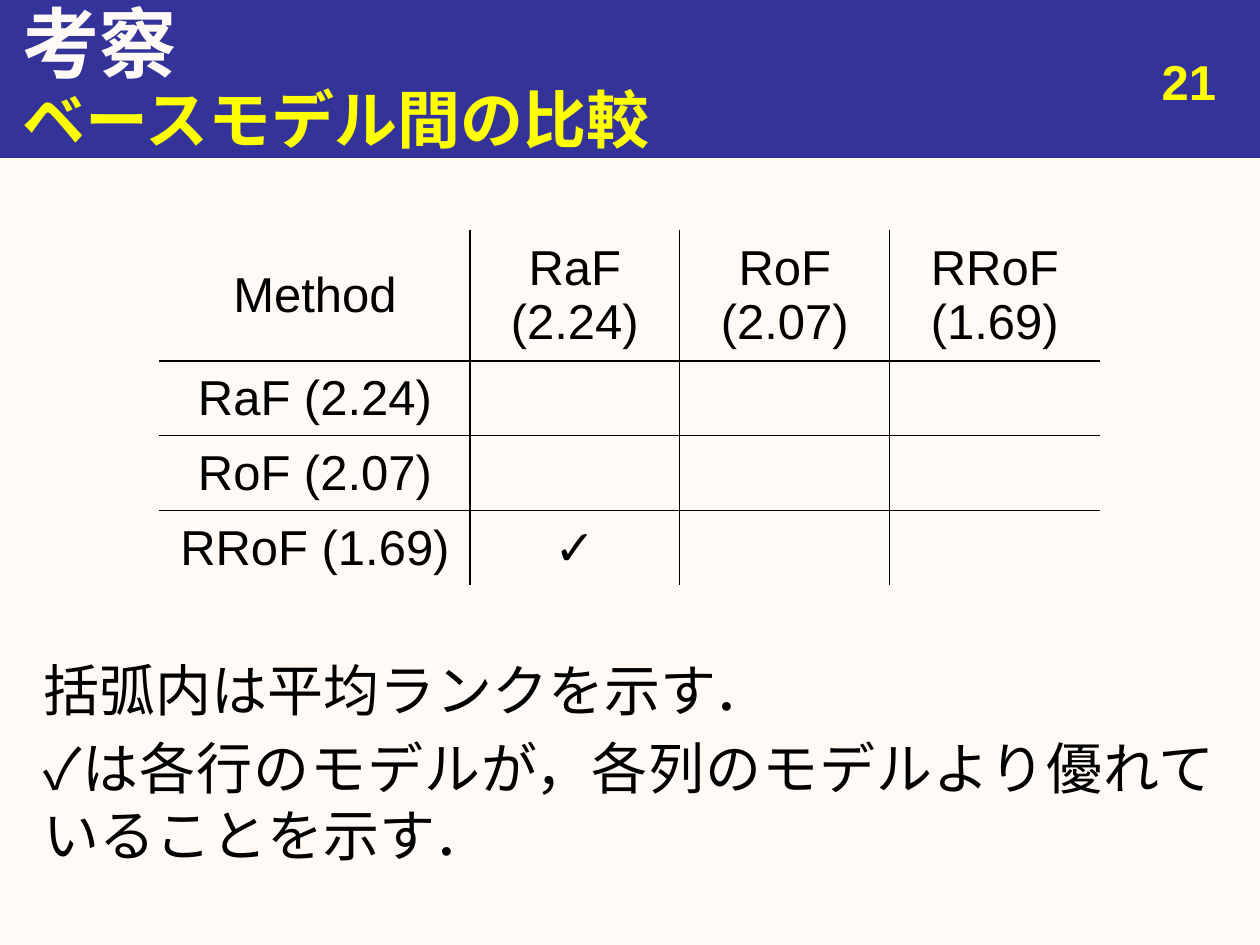
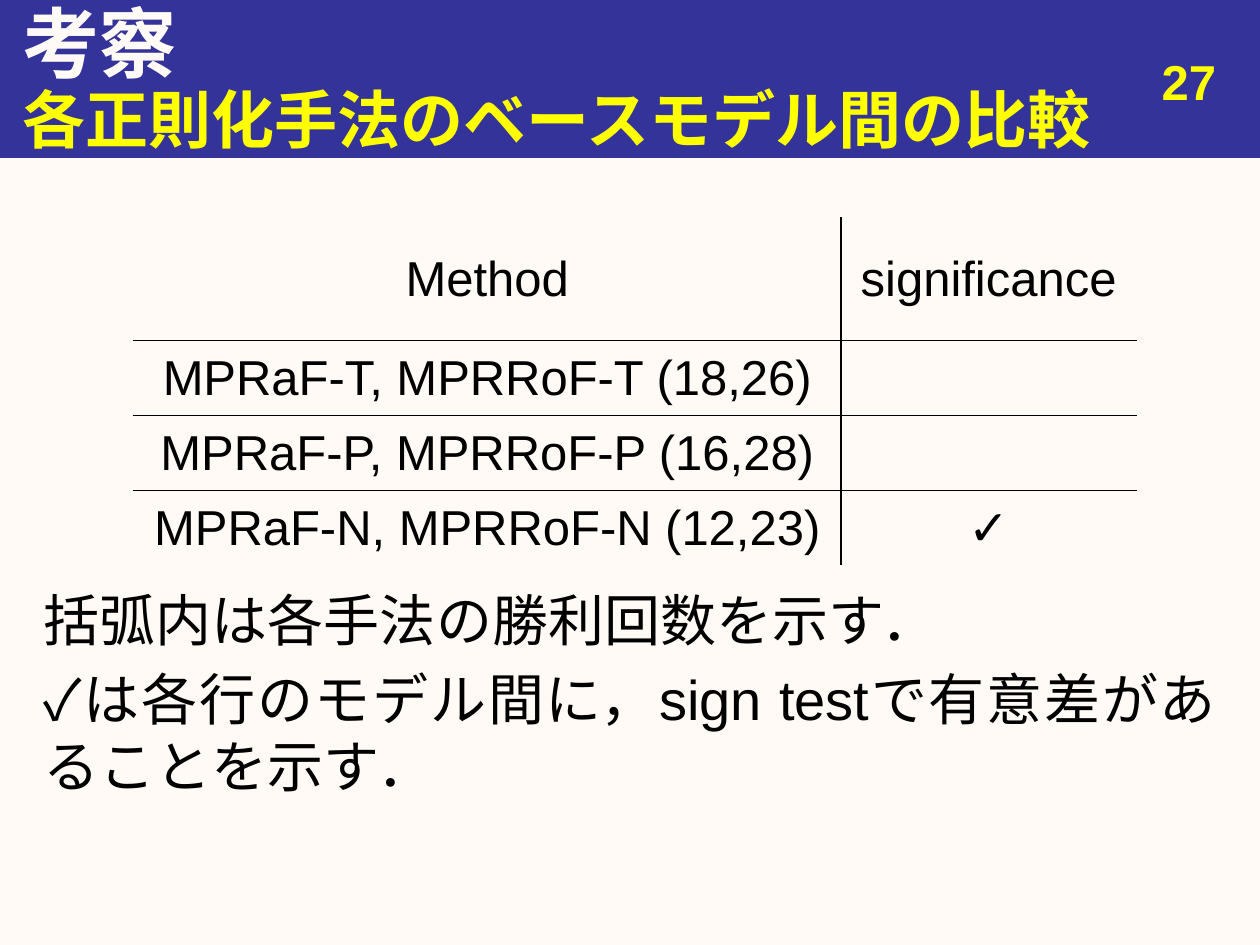
from lxml import etree
from pptx import Presentation
from pptx.dml.color import RGBColor
from pptx.enum.shapes import MSO_SHAPE
from pptx.enum.text import MSO_ANCHOR, PP_ALIGN
from pptx.oxml.ns import qn
from pptx.util import Inches, Pt

RECTANGLE = MSO_SHAPE.RECTANGLE
TOP, MIDDLE = MSO_ANCHOR.TOP, MSO_ANCHOR.MIDDLE
LEFT, CENTER, RIGHT, JUSTIFY = PP_ALIGN.LEFT, PP_ALIGN.CENTER, PP_ALIGN.RIGHT, PP_ALIGN.JUSTIFY

COLORS = {"paper": "FFFAF5", "band": "333399", "accent": "FFFF00", "ink": "000000"}
RGB = {name: RGBColor.from_string(value) for name, value in COLORS.items()}
FONT = "Arial"

prs = Presentation()
prs.slide_width, prs.slide_height = Inches(10), Inches(7.5)
COL = prs.slide_width / 120
ROW = prs.slide_height / 90
HEADER_ROWS, BODY_ROWS = 11.7, 7.14

PAGES = [
    {
        "number": "21",
        "topic": "ベースモデル間の比較",
        "origin": (15.24, 21.95),
        "columns": [29.5, 20, 20, 20],
        "results": [
            ["Method", "RaF (2.24)", "RoF (2.07)", "RRoF (1.69)"],
            ["RaF (2.24)", "", "", ""],
            ["RoF (2.07)", "", "", ""],
            ["RRoF (1.69)", "✓", "", ""],
        ],
        "notes_row": 61.8,
        "notes": [
            "括弧内は平均ランクを示す．",
            "✓は各行のモデルが，各列のモデルより優れて\vいることを示す．",
        ],
    },
    {
        "number": "27",
        "topic": "各正則化手法のベースモデル間の比較",
        "origin": (12.7, 20.75),
        "columns": [67.4, 28.1],
        "results": [
            ["Method", "significance"],
            ["MPRaF-T, MPRRoF-T (18,26)", ""],
            ["MPRaF-P, MPRRoF-P (16,28)", ""],
            ["MPRaF-N, MPRRoF-N (12,23)", "✓"],
        ],
        "notes_row": 55.2,
        "notes": [
            "括弧内は各手法の勝利回数を示す．",
            "✓は各行のモデル間に，sign testで有意差があることを示す．",
        ],
    },
]


def write(frame, lines, size, color, bold=False, align=LEFT, anchor=TOP):
    frame.word_wrap = True
    frame.vertical_anchor = anchor
    frame.text = "\n".join(lines)
    for index, paragraph in enumerate(frame.paragraphs):
        paragraph.alignment = align
        if index:
            paragraph.space_before = Pt(size * 0.2)
        for run in paragraph.runs:
            run.font.name = FONT
            run.font.size = Pt(size)
            run.font.bold = bold
            run.font.color.rgb = RGB[color]


def add_border(cell, side, color):
    line = etree.SubElement(cell._tc.get_or_add_tcPr(), qn(f"a:ln{side}"), w=str(Pt(1)))
    fill = etree.SubElement(line, qn("a:solidFill"))
    etree.SubElement(fill, qn("a:srgbClr"), val=COLORS[color])


for page in PAGES:
    slide = prs.slides.add_slide(prs.slide_layouts[6])
    slide.background.fill.solid()
    slide.background.fill.fore_color.rgb = RGB["paper"]

    band = slide.shapes.add_shape(RECTANGLE, 0, 0, prs.slide_width, int(15 * ROW))
    band.shadow.inherit = False
    band.fill.solid()
    band.fill.fore_color.rgb = RGB["band"]
    band.line.color.rgb = RGB["band"]
    band.line.width = Pt(0.75)

    for (left, top, width, height), lines, style in [
        ((1, 0, 119, 8), ["考察"], (44, "paper", True, LEFT, MIDDLE)),
        ((3, page["notes_row"], 114, 20), page["notes"], (32, "ink", False, JUSTIFY)),
        ((89, 4.3, 28, 6.2), [page["number"]], (28, "accent", True, RIGHT)),
        ((1, 7.5, 119, 7.5), [page["topic"]], (36, "accent", True, LEFT, MIDDLE)),
    ]:
        box = slide.shapes.add_textbox(
            int(left * COL), int(top * ROW), int(width * COL), int(height * ROW)
        )
        write(box.text_frame, lines, *style)

    results = page["results"]
    heights = [HEADER_ROWS] + [BODY_ROWS] * (len(results) - 1)
    left, top = page["origin"]
    comparison = slide.shapes.add_table(
        len(results), len(page["columns"]), int(left * COL), int(top * ROW),
        int(sum(page["columns"]) * COL), int(sum(heights) * ROW),
    ).table
    comparison.first_row = comparison.horz_banding = False
    for column, width in zip(comparison.columns, page["columns"]):
        column.width = int(width * COL)
    for row, height in zip(comparison.rows, heights):
        row.height = int(height * ROW)

    last_row, last_column = len(results) - 1, len(page["columns"]) - 1
    for r, entries in enumerate(results):
        for c, entry in enumerate(entries):
            cell = comparison.cell(r, c)
            outer_sides = {"L": c == 0, "R": c == last_column, "T": r == 0, "B": r == last_row}
            for side, is_outer in outer_sides.items():
                add_border(cell, side, "paper" if is_outer else "ink")
            cell.fill.background()
            cell.vertical_anchor = MIDDLE
            write(cell.text_frame, [entry], 28, "ink", align=CENTER, anchor=MIDDLE)

prs.save("out.pptx")
